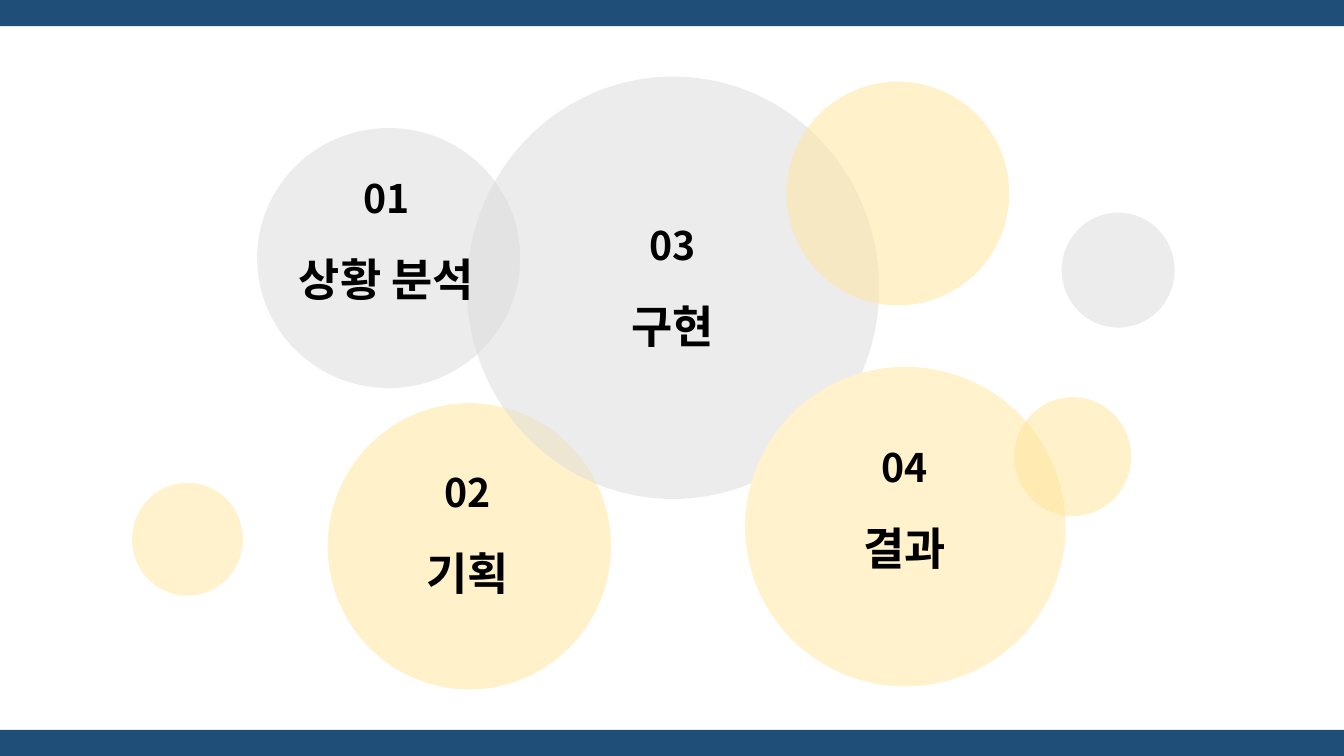
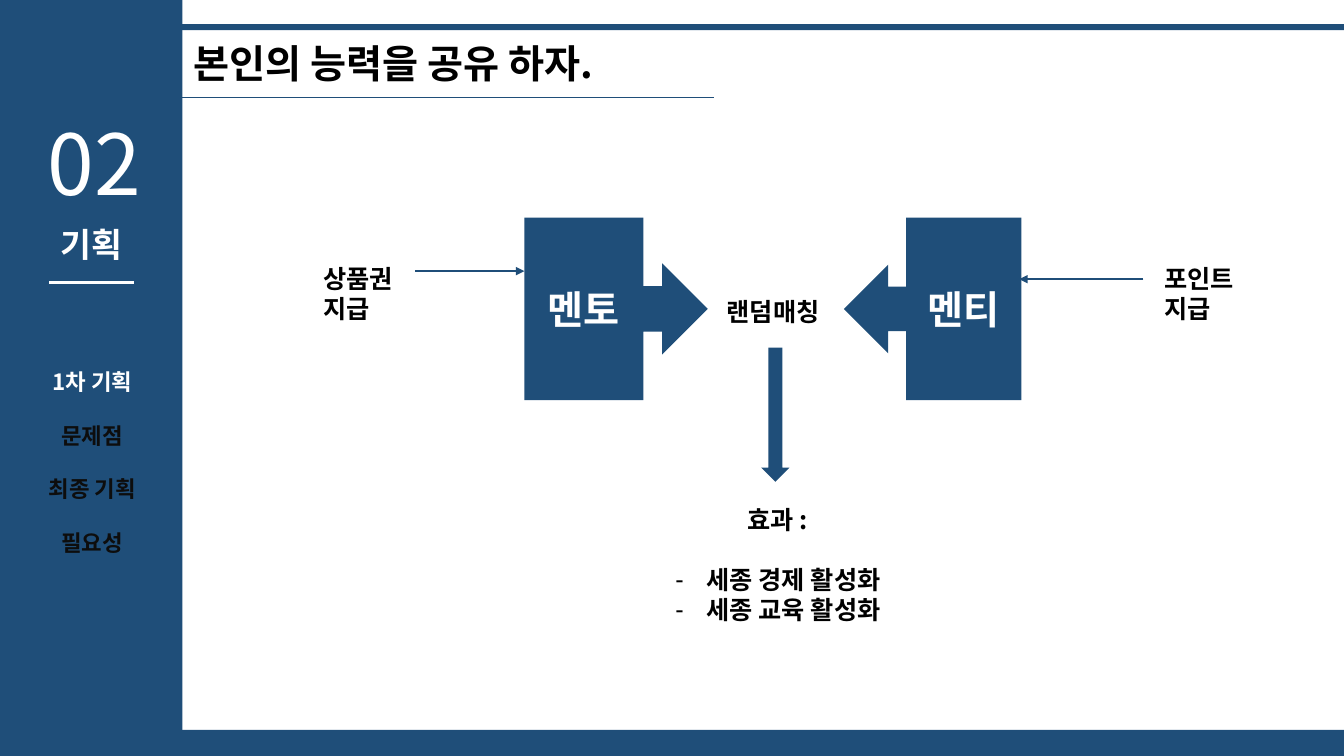
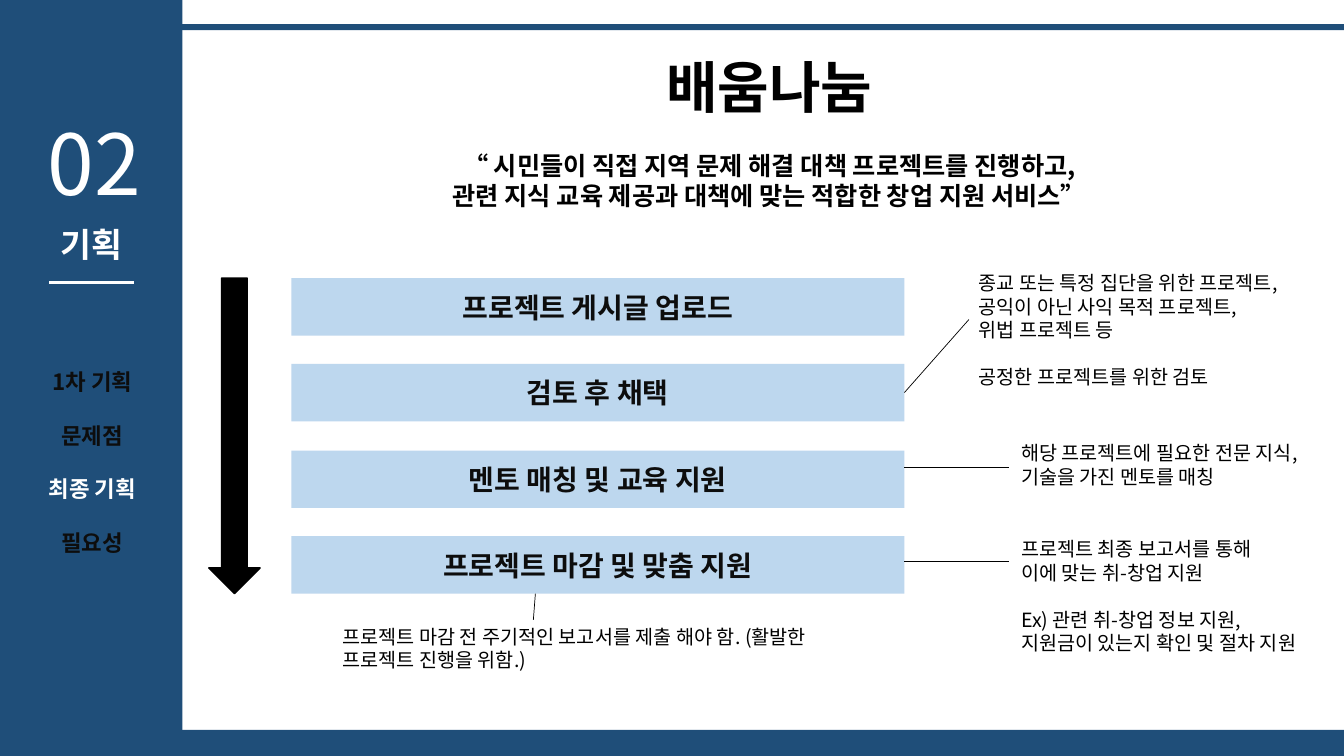
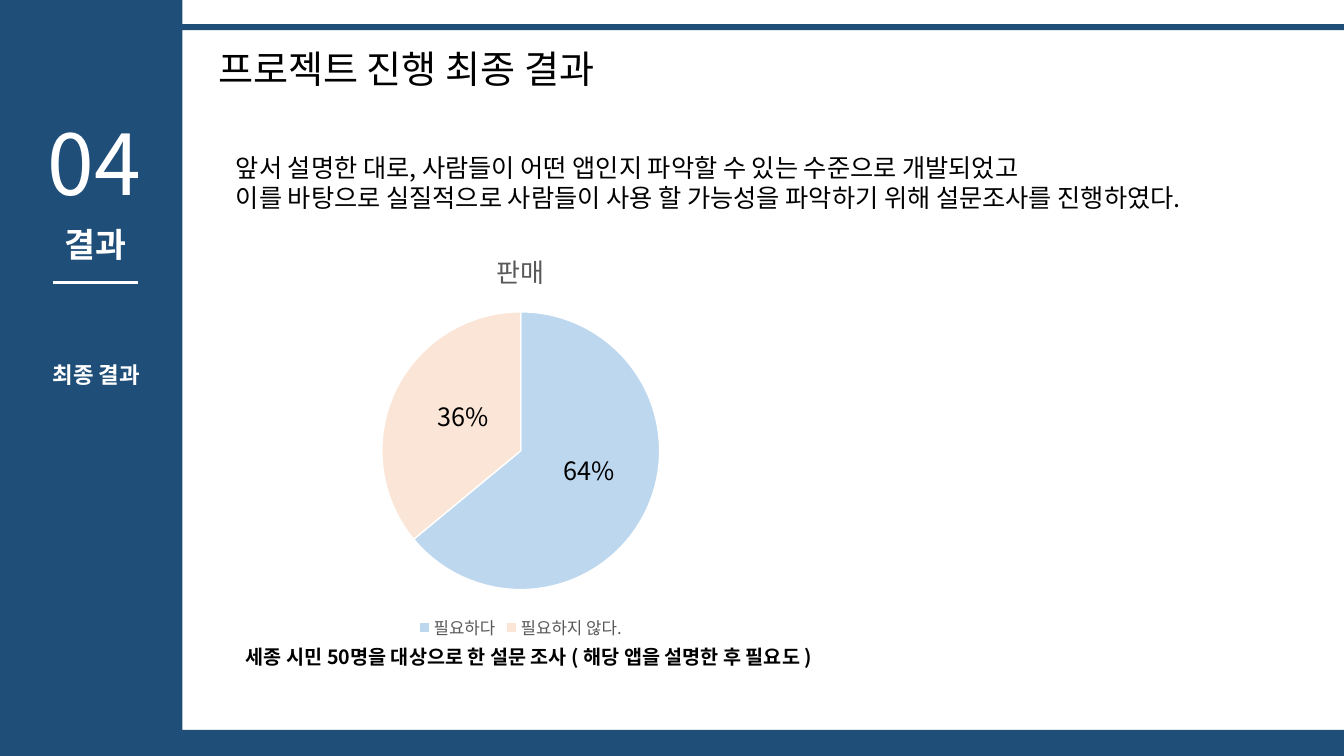
from dataclasses import dataclass

from lxml import etree
from pptx import Presentation
from pptx.chart.data import CategoryChartData
from pptx.dml.color import RGBColor
from pptx.enum.chart import XL_CHART_TYPE, XL_LEGEND_POSITION
from pptx.enum.shapes import MSO_CONNECTOR, MSO_SHAPE
from pptx.enum.text import MSO_ANCHOR, MSO_AUTO_SIZE, PP_ALIGN
from pptx.oxml.ns import qn
from pptx.util import Pt

EMU_PER_PX = 9144  # 100 px to the inch
PAGE_WIDTH, PAGE_HEIGHT = 1333, 750
FONT = "Noto Sans CJK KR"
LINE_HEIGHT = 1.2
BULLET_INDENT = 31

NAVY, SKY, PEACH = "1F4E79", "BDD7EE", "FBE5D6"
GRAY, GOLD, CREAM = "DBDBDB", "FFE699", "FFF2CC"
BLACK, INK, SLATE, WHITE = "000000", "0D0D0D", "595959", "FFFFFF"

RECTANGLE, ELLIPSE = MSO_SHAPE.RECTANGLE, MSO_SHAPE.OVAL
DOWN_ARROW = MSO_SHAPE.DOWN_ARROW
RIGHT_CALLOUT = MSO_SHAPE.RIGHT_ARROW_CALLOUT
LEFT_CALLOUT = MSO_SHAPE.LEFT_ARROW_CALLOUT
STRAIGHT = MSO_CONNECTOR.STRAIGHT
LEFT, CENTER = PP_ALIGN.LEFT, PP_ALIGN.CENTER
TOP, MIDDLE, BOTTOM = MSO_ANCHOR.TOP, MSO_ANCHOR.MIDDLE, MSO_ANCHOR.BOTTOM
NO_AUTOFIT = MSO_AUTO_SIZE.NONE
PIE, LEGEND_BOTTOM = XL_CHART_TYPE.PIE, XL_LEGEND_POSITION.BOTTOM
RIGHT_SIDE = 3

LAYOUT_TWO_CONTENT, LAYOUT_BLANK = 3, 6
MENU, CONTENT = 1, 2


@dataclass
class Area:
    left: int
    top: int
    width: int
    height: int


@dataclass
class Line:
    text: str
    size: float
    color: str = BLACK
    bold: bool = False
    gap: float = 0
    bullet: str = ""


@dataclass
class Circle:
    area: Area
    color: str
    opacity: int = 50


@dataclass
class Topic:
    left: int
    top: int
    number: str
    name: str


@dataclass
class Sidebar:
    number: str
    heading: str
    menu: list[str]
    active: str
    menu_top: int = 360
    shift: int = 0


@dataclass
class Note:
    area: Area
    lines: list[str]
    gap_before: int = -1
    wrap: bool = True


CIRCLES = [
    Circle(Area(255, 127, 261, 258), GRAY),
    Circle(Area(325, 400, 281, 284), GOLD),
    Circle(Area(463, 76, 409, 419), GRAY),
    Circle(Area(739, 364, 318, 317), CREAM, 100),
    Circle(Area(780, 81, 221, 222), GOLD),
    Circle(Area(1053, 211, 112, 114), GRAY),
    Circle(Area(131, 479, 110, 112), CREAM, 100),
    Circle(Area(1006, 394, 116, 118), GOLD),
]
TOPICS = [
    Topic(275, 168, "01", "상황 분석"),
    Topic(355, 460, "02", "기획"),
    Topic(559, 215, "03", "구현"),
    Topic(789, 435, "04", "결과"),
]
PLAN_MENU = ["1차 기획", "문제점", "최종 기획", "필요성"]
STEPS = ["프로젝트 게시글 업로드", "검토 후 채택", "멘토 매칭 및 교육 지원",
         "프로젝트 마감 및 맞춤 지원"]
NOTES = [
    Note(Area(961, 264, 353, 128),
         ["종교 또는 특정 집단을 위한 프로젝트,", "공익이 아닌 사익 목적 프로젝트,",
          "위법 프로젝트 등", "공정한 프로젝트를 위한 검토"], 3, False),
    Note(Area(1003, 433, 312, 57),
         ["해당 프로젝트에 필요한 전문 지식, 기술을 가진 멘토를 매칭"]),
    Note(Area(1003, 528, 312, 128),
         ["프로젝트 최종 보고서를 통해", "이에 맞는 취-창업 지원",
          "Ex) 관련 취-창업 정보 지원, 지원금이 있는지 확인 및 절차 지원"], 2),
    Note(Area(330, 615, 482, 57),
         ["프로젝트 마감 전 주기적인 보고서를 제출 해야 함. (활발한 프로젝트 진행을 위함.)"]),
]


def px(length: int) -> int:
    return length * EMU_PER_PX


def bounds(area: Area) -> tuple[int, int, int, int]:
    return px(area.left), px(area.top), px(area.width), px(area.height)


def rgb(code: str) -> RGBColor:
    return RGBColor.from_string(code)


def blank_line(size: float) -> float:
    """Paragraph gap as tall as one line of this size."""
    return round(size * LINE_HEIGHT, 1)


def style_font(font, size: float, color: str, bold: bool = False) -> None:
    font.size, font.bold, font.name = Pt(size), bold, FONT
    font.color.rgb = rgb(color)
    etree.SubElement(font._element, qn("a:ea"), typeface=FONT)


def set_bullet(paragraph, bullet: str) -> None:
    properties = paragraph._p.get_or_add_pPr()
    indent = px(BULLET_INDENT) if bullet else 0
    properties.set("marL", str(indent))
    properties.set("indent", str(-indent))
    if bullet:
        etree.SubElement(properties, qn("a:buChar"), char=bullet)
    else:
        etree.SubElement(properties, qn("a:buNone"))


def write(box, lines: list[Line], align=LEFT, anchor=TOP, wrap: bool = True) -> None:
    frame = box.text_frame
    frame.word_wrap, frame.auto_size = wrap, NO_AUTOFIT
    frame.vertical_anchor = anchor
    for index, line in enumerate(lines):
        paragraph = frame.add_paragraph() if index else frame.paragraphs[0]
        paragraph.text = line.text
        paragraph.alignment = align
        paragraph.line_spacing = Pt(blank_line(line.size))
        paragraph.space_before, paragraph.space_after = Pt(line.gap), Pt(0)
        set_bullet(paragraph, line.bullet)
        style_font(paragraph.font, line.size, line.color, line.bold)


def add_text(page, area: Area, lines: list[Line], align=LEFT, wrap: bool = True) -> None:
    write(page.shapes.add_textbox(*bounds(area)), lines, align, wrap=wrap)


def fill_placeholder(page, index: int, area: Area, lines: list[Line],
                     align=LEFT, anchor=TOP) -> None:
    box = page.placeholders[index]
    box.left, box.top, box.width, box.height = bounds(area)
    write(box, lines, align, anchor)


def add_block(page, kind, area: Area, color: str, opacity: int = 100):
    shape = page.shapes.add_shape(kind, *bounds(area))
    shape.shadow.inherit = False
    shape.fill.solid()
    shape.fill.fore_color.rgb = rgb(color)
    shape.line.fill.background()
    if opacity < 100:
        tint = shape._element.spPr.find(".//" + qn("a:srgbClr"))
        etree.SubElement(tint, qn("a:alpha"), val=str(opacity * 1000))
    return shape


def add_line(page, start: tuple[int, int], end: tuple[int, int], color: str,
             width: float, arrow: bool = False):
    line = page.shapes.add_connector(STRAIGHT, *map(px, start + end))
    line.line.color.rgb = rgb(color)
    line.line.width = Pt(width)
    properties = line._element.spPr
    if arrow:
        etree.SubElement(properties.find(qn("a:ln")), qn("a:tailEnd"), type="triangle")
    etree.SubElement(properties, qn("a:effectLst"))
    return line


def add_bands(page, areas: list[Area]) -> None:
    """Draw navy bands behind everything else on the page."""
    for area in areas:
        band = add_block(page, RECTANGLE, area, NAVY)
        page.shapes._spTree.insert(2, band._element)


def add_section_page(deck, sidebar: Sidebar):
    page = deck.slides.add_slide(deck.slide_layouts[LAYOUT_TWO_CONTENT])
    add_bands(page, [Area(0, 724, PAGE_WIDTH, 26), Area(0, 0, 181, PAGE_HEIGHT),
                     Area(0, 24, PAGE_WIDTH, 6)])
    shift = sidebar.shift
    add_text(page, Area(24, 106, 139, 111), [Line(sidebar.number, 60, WHITE)], CENTER)
    add_text(page, Area(1 + shift, 217, 180, 50),
             [Line(sidebar.heading, 24, WHITE, True)], CENTER)
    add_line(page, (49 + shift, 280), (133 + shift, 280), WHITE, 2.25)
    entries = [Line(entry, 16, WHITE if entry == sidebar.active else INK, True,
                    blank_line(16) if index else 0)
               for index, entry in enumerate(sidebar.menu)]
    menu_area = Area(1 + shift, sidebar.menu_top, 181, 54 * len(entries) - 17)
    fill_placeholder(page, MENU, menu_area, entries, CENTER)
    return page


def build_contents(deck) -> None:
    page = deck.slides.add_slide(deck.slide_layouts[LAYOUT_BLANK])
    add_bands(page, [Area(0, top, PAGE_WIDTH, 26) for top in (0, 724)])
    for circle in CIRCLES:
        add_block(page, ELLIPSE, circle.area, circle.color, circle.opacity)
    for topic in TOPICS:
        add_text(page, Area(topic.left, topic.top, 217, 141),
                 [Line(topic.number, 28, bold=True),
                  Line(topic.name, 32, bold=True, gap=blank_line(18))], CENTER)


def build_first_plan(deck) -> None:
    page = add_section_page(deck, Sidebar("02", "기획", PLAN_MENU, "1차 기획"))
    fill_placeholder(page, 0, Area(182, 34, 791, 57),
                     [Line("본인의 능력을 공유 하자.", 28, bold=True)])
    add_line(page, (181, 97), (708, 97), NAVY, 1)
    for kind, left, width, role in ((RIGHT_CALLOUT, 520, 182, "멘토"),
                                    (LEFT_CALLOUT, 837, 176, "멘티")):
        callout = add_block(page, kind, Area(left, 216, width, 181), NAVY)
        write(callout, [Line(role, 28, WHITE, True)], CENTER, MIDDLE)
    for area, words in ((Area(711, 289, 126, 40), ["랜덤매칭"]),
                        (Area(311, 256, 98, 71), ["상품권", "지급"]),
                        (Area(1145, 256, 98, 71), ["포인트 지급"])):
        add_text(page, area, [Line(word, 18, bold=True) for word in words])
    add_block(page, DOWN_ARROW, Area(755, 345, 28, 133), NAVY)
    add_line(page, (412, 269), (520, 269), NAVY, 1.5, arrow=True)
    add_line(page, (1134, 277), (1011, 277), NAVY, 1.5, arrow=True)
    fill_placeholder(page, CONTENT, Area(637, 495, 269, 162),
                     [Line("효과 :", 18, bold=True),
                      Line("세종 경제 활성화", 18, bold=True, gap=blank_line(18), bullet="-"),
                      Line("세종 교육 활성화", 18, bold=True, bullet="-")], CENTER)


def build_final_plan(deck) -> None:
    page = add_section_page(deck, Sidebar("02", "기획", PLAN_MENU, "최종 기획"))
    fill_placeholder(page, 0, Area(212, 47, 1102, 77),
                     [Line("배움나눔", 40, bold=True)], CENTER)
    fill_placeholder(page, CONTENT, Area(212, 144, 1102, 71),
                     [Line("“ 시민들이 직접 지역 문제 해결 대책 프로젝트를 진행하고,", 18, bold=True),
                      Line("관련 지식 교육 제공과 대책에 맞는 적합한 창업 지원 서비스”", 18, bold=True)],
                     CENTER)
    bars = []
    for index, step in enumerate(STEPS):
        top = 276 + round(index * 256 / 3)
        bar = add_block(page, RECTANGLE, Area(289, top, 608, 57), SKY)
        write(bar, [Line(step, 20, INK, True)], CENTER, MIDDLE)
        bars.append(bar)
    progress = add_block(page, DOWN_ARROW, Area(207, 276, 51, 313), BLACK)
    progress.line.color.rgb = rgb(BLACK)
    progress.line.width = Pt(1)
    review_line = add_line(page, (897, 390), (961, 317), BLACK, 0.5)
    review_line.begin_connect(bars[1], RIGHT_SIDE)
    for start, end in (((897, 464), (1001, 464)), ((897, 557), (1001, 557)),
                       ((531, 589), (529, 615))):
        add_line(page, start, end, BLACK, 0.5)
    for note in NOTES:
        add_text(page, note.area,
                 [Line(text, 14, gap=blank_line(14) if index == note.gap_before else 0)
                  for index, text in enumerate(note.lines)], wrap=note.wrap)


def add_survey_chart(page, area: Area) -> None:
    data = CategoryChartData()
    data.categories = ["필요하다", "필요하지 않다."]
    data.add_series("판매", (64, 36))
    chart = page.shapes.add_chart(PIE, *bounds(area), data).chart
    style_font(chart.font, 10, BLACK)
    chart.has_title = True
    chart.chart_title.include_in_layout = False
    heading = chart.chart_title.text_frame.paragraphs[0]
    heading.text = "판매"
    style_font(heading.font, 18.6, SLATE)
    chart.has_legend = True
    chart.legend.position = LEGEND_BOTTOM
    chart.legend.include_in_layout = False
    style_font(chart.legend.font, 12, SLATE)
    plot = chart.plots[0]
    plot.vary_by_categories = True
    for index, color in enumerate((SKY, PEACH)):
        piece = plot.series[0].points[index].format
        piece.fill.solid()
        piece.fill.fore_color.rgb = rgb(color)
        piece.line.color.rgb = rgb(WHITE)
        piece.line.width = Pt(1)


def build_result(deck) -> None:
    page = add_section_page(
        deck, Sidebar("04", "결과", ["최종 결과"], "최종 결과", menu_top=353, shift=4))
    fill_placeholder(page, 0, Area(181, 42, 444, 53),
                     [Line("프로젝트 진행 최종 결과", 27.2)], CENTER, BOTTOM)
    fill_placeholder(page, CONTENT, Area(224, 146, 1172, 71),
                     [Line("앞서 설명한 대로, 사람들이 어떤 앱인지 파악할 수 있는 수준으로 개발되었고", 18),
                      Line("이를 바탕으로 실질적으로 사람들이 사용 할 가능성을 파악하기 위해 "
                           "설문조사를 진행하였다.", 18)])
    add_survey_chart(page, Area(175, 229, 683, 410))
    for left, top, share in ((549, 447, "64%"), (424, 393, "36%")):
        add_text(page, Area(left, top, 85, 40), [Line(share, 18)])
    add_text(page, Area(234, 635, 929, 34),
             [Line("세종 시민 50명을 대상으로 한 설문 조사 ( 해당 앱을 설명한 후 필요도 )", 14, bold=True)])


def main() -> None:
    deck = Presentation()
    deck.slide_width, deck.slide_height = px(PAGE_WIDTH), px(PAGE_HEIGHT)
    for build in (build_contents, build_first_plan, build_final_plan, build_result):
        build(deck)
    deck.save("out.pptx")


if __name__ == "__main__":
    main()
